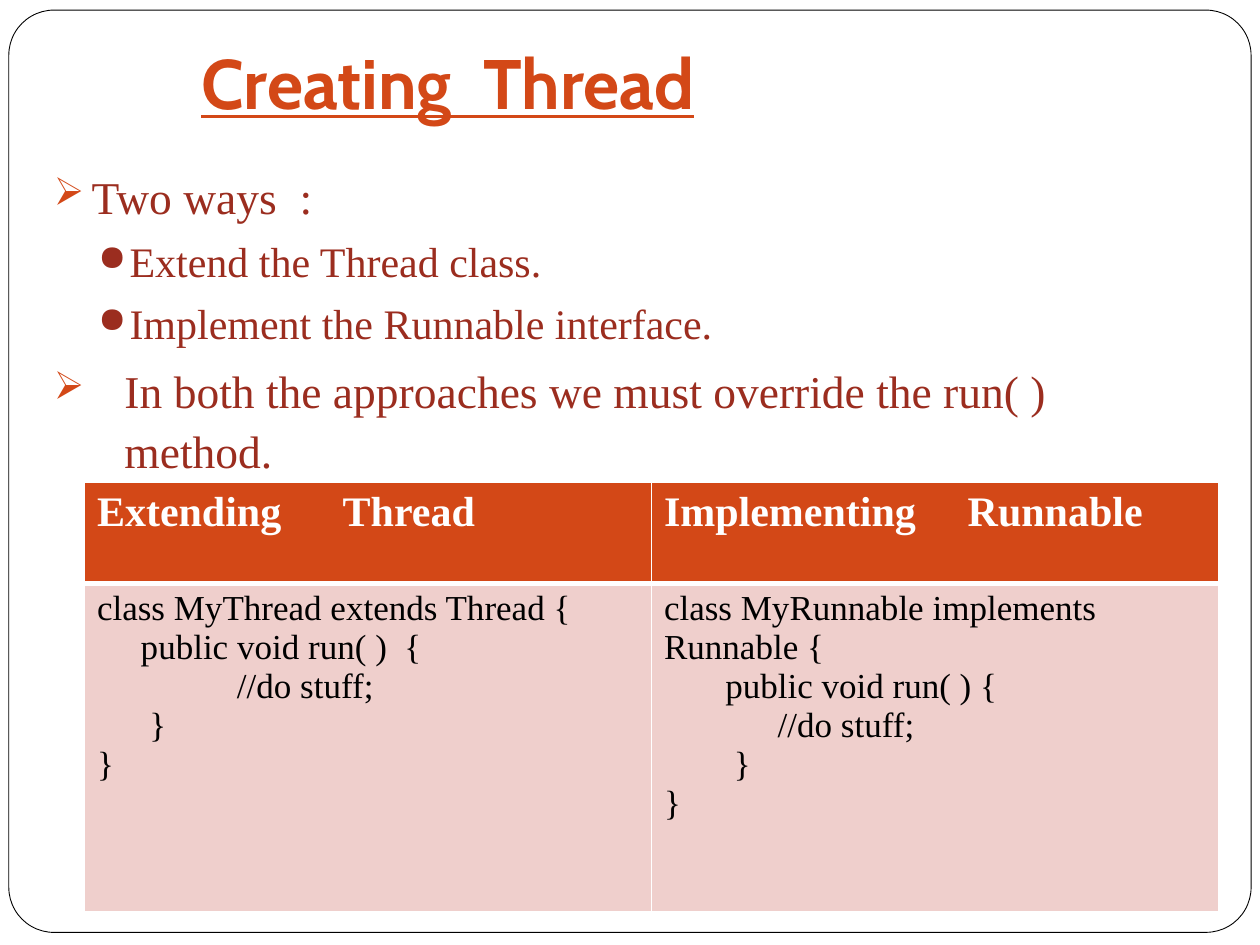
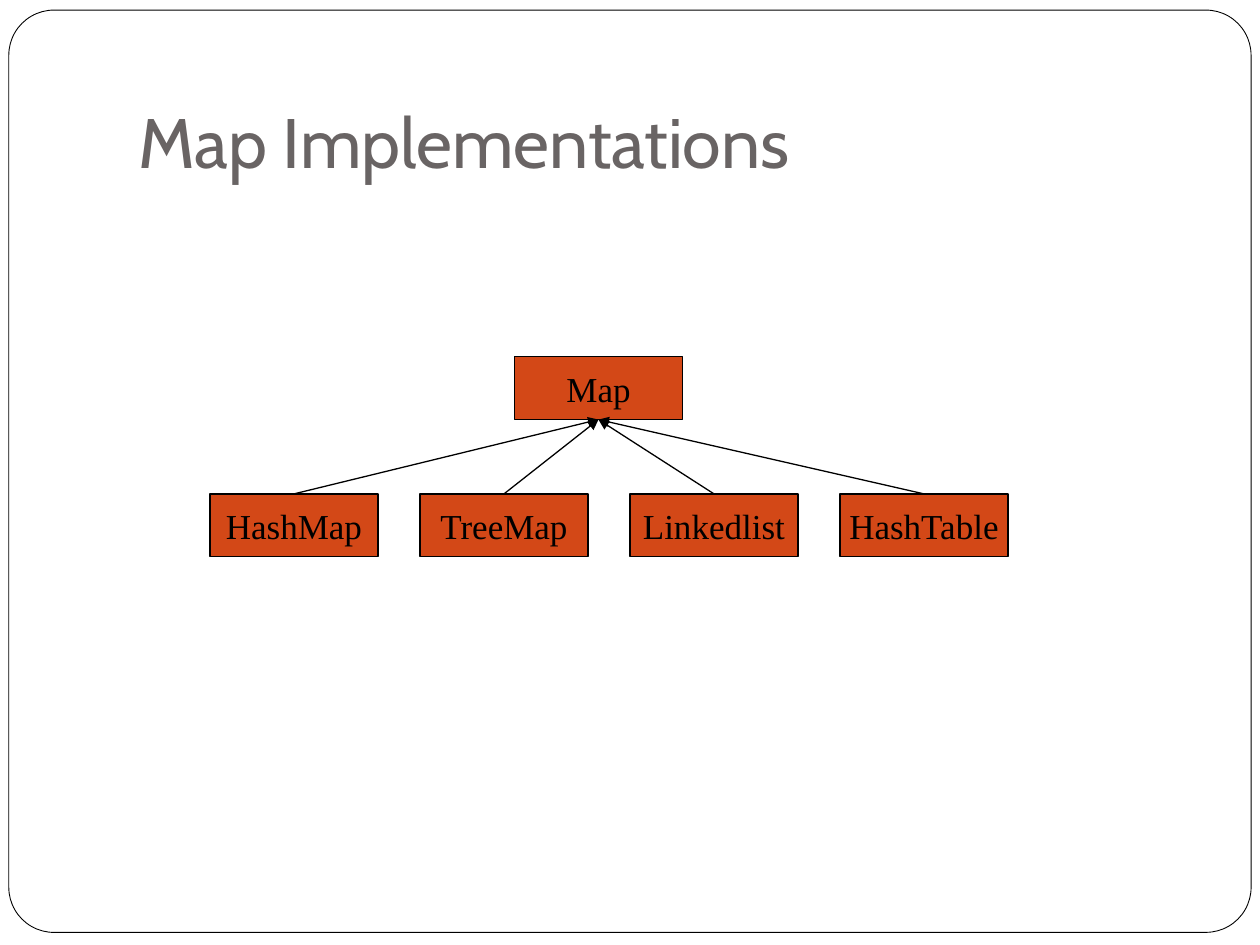
import pptx
import pptx.dml.color
import pptx.enum.shapes
import pptx.enum.text
import pptx.oxml.ns
import pptx.util
from dataclasses import dataclass
from lxml import etree

Inches = pptx.util.Inches
Pt = pptx.util.Pt
ANCHOR = pptx.enum.text.MSO_ANCHOR
SHAPE = pptx.enum.shapes.MSO_SHAPE


# Content
THREAD_TITLE = "Creating  Thread"
# text, level name
THREAD_POINTS = [
    ("Two ways  :", "main"),
    ("Extend the Thread class.", "sub"),
    ("Implement the Runnable interface.", "sub"),
    ("In both the approaches we must override the run( ) method.", "wide"),
]
# heading, tab stop of its second word, code lines
THREAD_COLUMNS = [
    ("Extending\tThread", 1.95, [
        "class MyThread extends Thread {",
        "     public void run( )  {",
        "                //do stuff;",
        "      }",
        "}",
    ]),
    ("Implementing\tRunnable", 2.41, [
        "class MyRunnable implements Runnable {",
        "       public void run( ) {",
        "             //do stuff;",
        "        }",
        "}",
    ]),
]
MAP_TITLE = "Map Implementations"
MAP_ROOT = "Map"
MAP_CHILDREN = ["HashMap", "TreeMap", "Linkedlist", "HashTable"]


@dataclass(frozen=True)
class Theme:
    accent: str = "D34817"
    body: str = "9B2D1F"
    title: str = "696464"
    tint: str = "EFCFCC"
    white: str = "FFFFFF"
    black: str = "000000"
    title_font: str = "Cabin"
    text_font: str = "Times New Roman"
    title_size: int = 40
    main_size: int = 26
    sub_size: int = 24
    code_size: int = 20


THEME = Theme()

# size, left margin, first-line indent, space before, bullet, bullet colour
LEVELS = {
    "main": (THEME.main_size, 0.3, -0.3, 5.8, "➢", THEME.accent),
    "sub": (THEME.sub_size, 0.6, -0.25, 3.7, "●", THEME.body),
    "wide": (THEME.main_size, 0.56, -0.56, 5.8, "➢", THEME.accent),
}


# Shared helpers
def rgb(colour):
    return pptx.dml.color.RGBColor.from_string(colour)


def add_element(parent, tag, **attributes):
    element = etree.SubElement(parent, pptx.oxml.ns.qn(tag))
    for name, value in attributes.items():
        element.set(name, str(value))
    return element


def add_span(para, text, size, colour, font=THEME.text_font, bold=False, underline=False):
    span = para.add_run()
    span.text = text
    span.font.name = font
    span.font.size = Pt(size)
    span.font.bold = bold
    span.font.underline = underline
    span.font.color.rgb = rgb(colour)


def set_indent(para, margin, indent=0):
    properties = para._p.get_or_add_pPr()
    properties.set("marL", str(Inches(margin)))
    properties.set("indent", str(Inches(indent)))
    return properties


def next_para(frame, index):
    return frame.add_paragraph() if index else frame.paragraphs[0]


def add_box(page, left, top, width, height):
    box = page.shapes.add_textbox(Inches(left), Inches(top), Inches(width), Inches(height))
    box.text_frame.word_wrap = True
    return box


def add_outlined(page, kind, left, top, width, height, fill, weight):
    shape = page.shapes.add_shape(kind, Inches(left), Inches(top), Inches(width), Inches(height))
    shape.shadow.inherit = False
    shape.fill.solid()
    shape.fill.fore_color.rgb = rgb(fill)
    shape.line.color.rgb = rgb(THEME.black)
    shape.line.width = Pt(weight)
    return shape


def add_page(deck):
    page = deck.slides.add_slide(deck.slide_layouts[6])
    border = add_outlined(page, SHAPE.ROUNDED_RECTANGLE, 0.07, 0.08, 9.86, 7.32,
                          THEME.white, 0.5)
    border.adjustments[0] = 0.049
    return page


def add_title(page, text, left, top, width, height, colour, margin=0, emphasis=False):
    frame = add_box(page, left, top, width, height).text_frame
    frame.vertical_anchor = ANCHOR.BOTTOM
    frame.margin_bottom = Inches(0.1)
    para = frame.paragraphs[0]
    set_indent(para, margin)
    add_span(para, text, THEME.title_size, colour, THEME.title_font, emphasis, emphasis)


# Thread slide
def add_points(page):
    frame = add_box(page, 0.33, 1.25, 9.17, 5.92).text_frame
    for index, (text, level) in enumerate(THREAD_POINTS):
        size, margin, indent, before, bullet, bullet_colour = LEVELS[level]
        para = next_para(frame, index)
        properties = set_indent(para, margin, indent)
        add_element(add_element(properties, "a:buClr"), "a:srgbClr", val=bullet_colour)
        add_element(properties, "a:buSzPct", val=85000)
        add_element(properties, "a:buChar", char=bullet)
        para.line_spacing = 1.1
        if index:
            para.space_before = Pt(before)
        add_span(para, text, size, THEME.body)


def style_cell(cell, fill, bottom_weight):
    properties = cell._tc.get_or_add_tcPr()
    for side, weight in (("L", 1), ("R", 1), ("T", 1), ("B", bottom_weight)):
        line = add_element(properties, f"a:ln{side}", w=Pt(weight))
        add_element(add_element(line, "a:solidFill"), "a:srgbClr", val=THEME.white)
    cell.fill.solid()
    cell.fill.fore_color.rgb = rgb(fill)


def add_code_table(page):
    table = page.shapes.add_table(2, len(THREAD_COLUMNS), Inches(0.67), Inches(3.83),
                                  Inches(9), Inches(3.41)).table
    table.first_row = table.horz_banding = False
    for row, height in zip(table.rows, (0.8, 2.61)):
        row.height = Inches(height)
    for column, (heading, stop, code) in enumerate(THREAD_COLUMNS):
        head, body = table.cell(0, column), table.cell(1, column)
        style_cell(head, THEME.accent, 3)
        style_cell(body, THEME.tint, 1)
        para = head.text_frame.paragraphs[0]
        tabs = add_element(para._p.get_or_add_pPr(), "a:tabLst")
        add_element(tabs, "a:tab", pos=Inches(stop), algn="l")
        add_span(para, heading, THEME.sub_size, THEME.white, bold=True)
        for index, text in enumerate(code):
            add_span(next_para(body.text_frame, index), text, THEME.code_size, THEME.black)


def build_thread_page(deck):
    page = add_page(deck)
    add_title(page, THREAD_TITLE, 0.5, 0, 9, 1.08, THEME.accent, margin=1, emphasis=True)
    add_points(page)
    add_code_table(page)


# Map slide
NODE_WIDTH, NODE_HEIGHT = 4 / 3, 0.5
CHILD_LEFT, CHILD_TOP, CHILD_STEP = 5 / 3, 3.92, 5 / 3


def add_node(page, text, left, top):
    node = add_outlined(page, SHAPE.RECTANGLE, left, top, NODE_WIDTH, NODE_HEIGHT,
                        THEME.accent, 0.75)
    frame = node.text_frame
    frame.word_wrap = False
    frame.vertical_anchor = ANCHOR.MIDDLE
    para = frame.paragraphs[0]
    para.alignment = pptx.enum.text.PP_ALIGN.CENTER
    add_span(para, text, THEME.code_size, THEME.black)
    return node


def add_arrow(page, child, parent):
    arrow = page.shapes.add_connector(pptx.enum.shapes.MSO_CONNECTOR.STRAIGHT, 0, 0, 0, 0)
    arrow.begin_connect(child, 0)
    arrow.end_connect(parent, 2)
    arrow.line.color.rgb = rgb(THEME.black)
    arrow.line.width = Pt(0.75)
    add_element(arrow.line._get_or_add_ln(), "a:tailEnd", type="triangle")
    add_element(arrow._element.spPr, "a:effectLst")


def build_map_page(deck):
    page = add_page(deck)
    add_title(page, MAP_TITLE, 1, 0.3, 8.5, 1.25, THEME.title)
    root = add_node(page, MAP_ROOT, 4.75 - NODE_WIDTH / 2, 2.83)
    for index, text in enumerate(MAP_CHILDREN):
        child = add_node(page, text, CHILD_LEFT + index * CHILD_STEP, CHILD_TOP)
        add_arrow(page, child, root)


def main():
    deck = pptx.Presentation()
    deck.slide_width, deck.slide_height = Inches(10), Inches(7.5)
    build_thread_page(deck)
    build_map_page(deck)
    deck.save("out.pptx")


if __name__ == "__main__":
    main()
